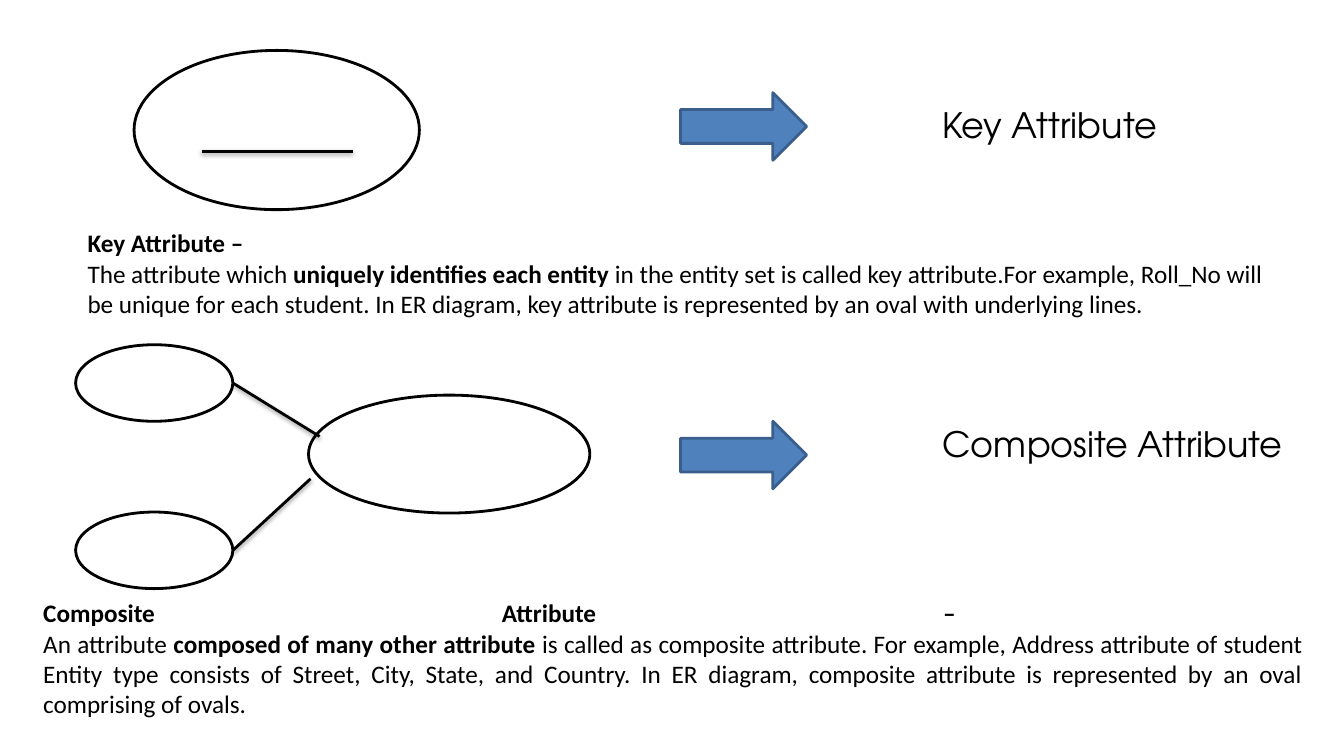
"""Builds a slide on key and composite attributes in ER diagrams."""
from dataclasses import dataclass

import lxml.etree
import pptx
import pptx.dml.color
import pptx.enum.shapes
import pptx.enum.text
import pptx.oxml
import pptx.oxml.ns
import pptx.util

EMU_PER_PX = 9144
SHAPES = pptx.enum.shapes.MSO_SHAPE
ALIGN = pptx.enum.text.PP_ALIGN


@dataclass(frozen=True)
class Theme:
    """Colours, fonts and sizes of the slide."""
    ink: str = "000000"
    paper: str = "FFFFFF"
    arrow: str = "4F81BD"
    arrow_edge: str = "3A5F8C"
    label_font: str = "TeX Gyre Adventor"
    body_font: str = "Calibri"
    label_size: int = 25
    body_size: int = 18
    line_width: int = 2


THEME = Theme()


def px(*lengths):
    """Turn pixel lengths into EMU."""
    return [pptx.util.Emu(length * EMU_PER_PX) for length in lengths]


def rgb(colour):
    """Return the colour object for a hex string."""
    return pptx.dml.color.RGBColor.from_string(colour)


def style_line(line, colour):
    """Give a line its colour and width."""
    line.color.rgb = rgb(colour)
    line.width = pptx.util.Pt(THEME.line_width)


def add_figure(page, preset, bounds, fill, edge):
    """Draw a filled and outlined preset shape."""
    figure = page.shapes.add_shape(preset, *px(*bounds))
    figure.shadow.inherit = False
    figure.fill.solid()
    figure.fill.fore_color.rgb = rgb(fill)
    style_line(figure.line, edge)


def add_oval(page, *bounds):
    """Draw an attribute oval."""
    add_figure(page, SHAPES.OVAL, bounds, THEME.paper, THEME.ink)


def add_arrow(page, top):
    """Draw a block arrow that points to a label."""
    add_figure(page, SHAPES.RIGHT_ARROW, (675, top, 125, 67), THEME.arrow, THEME.arrow_edge)


def add_line(page, *ends):
    """Draw a straight line with a soft shadow below it."""
    straight = pptx.enum.shapes.MSO_CONNECTOR.STRAIGHT
    line = page.shapes.add_connector(straight, *px(*ends))
    style_line(line.line, THEME.ink)
    qn = pptx.oxml.ns.qn
    properties = line._element.spPr
    effects = lxml.etree.SubElement(properties, qn("a:effectLst"))
    shadow = lxml.etree.SubElement(effects, qn("a:outerShdw"), blurRad="40000",
                                   dist="20000", dir="5400000", rotWithShape="0")
    colour = lxml.etree.SubElement(shadow, qn("a:srgbClr"), val=THEME.ink)
    lxml.etree.SubElement(colour, qn("a:alpha"), val="38000")


def add_text(page, bounds, font, size):
    """Add a wrapping text box and return its paragraph."""
    box = page.shapes.add_textbox(*px(*bounds))
    box.text_frame.word_wrap = True
    box.text_frame.auto_size = pptx.enum.text.MSO_AUTO_SIZE.SHAPE_TO_FIT_TEXT
    para = box.text_frame.paragraphs[0]
    para.font.name = font
    para.font.size = pptx.util.Pt(size)
    para.font.color.rgb = rgb(THEME.ink)
    return para


def add_label(page, words, *bounds):
    """Add the large name of an attribute type."""
    para = add_text(page, bounds, THEME.label_font, THEME.label_size)
    para.add_run().text = words


def add_span(para, words, bold=False):
    """Add a run of text, bold or plain."""
    span = para.add_run()
    span.text = words
    span.font.bold = bold


def add_definition(page, bounds, heading, before, term, after, align=ALIGN.LEFT):
    """Add a bold heading and, below it, a sentence with a bold term."""
    para = add_text(page, bounds, THEME.body_font, THEME.body_size)
    para.alignment = align
    add_span(para, heading, bold=True)
    para.add_line_break()
    add_span(para, before)
    add_span(para, term, bold=True)
    add_span(para, after)


def add_key_attribute(page):
    """Draw the upper half of the slide."""
    add_oval(page, 133, 50, 283, 158)
    add_line(page, 200, 150, 350, 150)
    add_arrow(page, 92)
    add_label(page, "Key Attribute", 925, 98, 242, 52)
    add_definition(
        page, (77, 221, 1190, 101), "Key Attribute – ",
        "The attribute which ", "uniquely identifies each entity",
        " in the entity set is called key attribute.For example, Roll_No will be unique "
        "for each student. In ER diagram, key attribute is represented by an oval with "
        "underlying lines.")


def add_composite_attribute(page):
    """Draw the lower half of the slide."""
    add_oval(page, 306, 392, 279, 117)
    for top, joint in ((342, (317, 433)), (508, (308, 475))):
        add_oval(page, 75, top, 156, 76)
        add_line(page, 231, top + 38, *joint)
    add_arrow(page, 418)
    add_label(page, "Composite Attribute", 925, 414, 377, 52)
    add_definition(
        page, (33, 588, 1269, 131), "Composite Attribute – ",
        "An attribute ", "composed of many other attribute",
        " is called as composite attribute. For example, Address attribute of student "
        "Entity type consists of Street, City, State, and Country. In ER diagram, "
        "composite attribute is represented by an oval comprising of ovals. ",
        ALIGN.JUSTIFY)


def main():
    """Build and save the deck."""
    deck = pptx.Presentation()
    deck.slide_width, deck.slide_height = px(1333, 750)
    page = deck.slides.add_slide(deck.slide_layouts[6])
    add_key_attribute(page)
    add_composite_attribute(page)
    deck.save("out.pptx")


if __name__ == "__main__":
    main()
